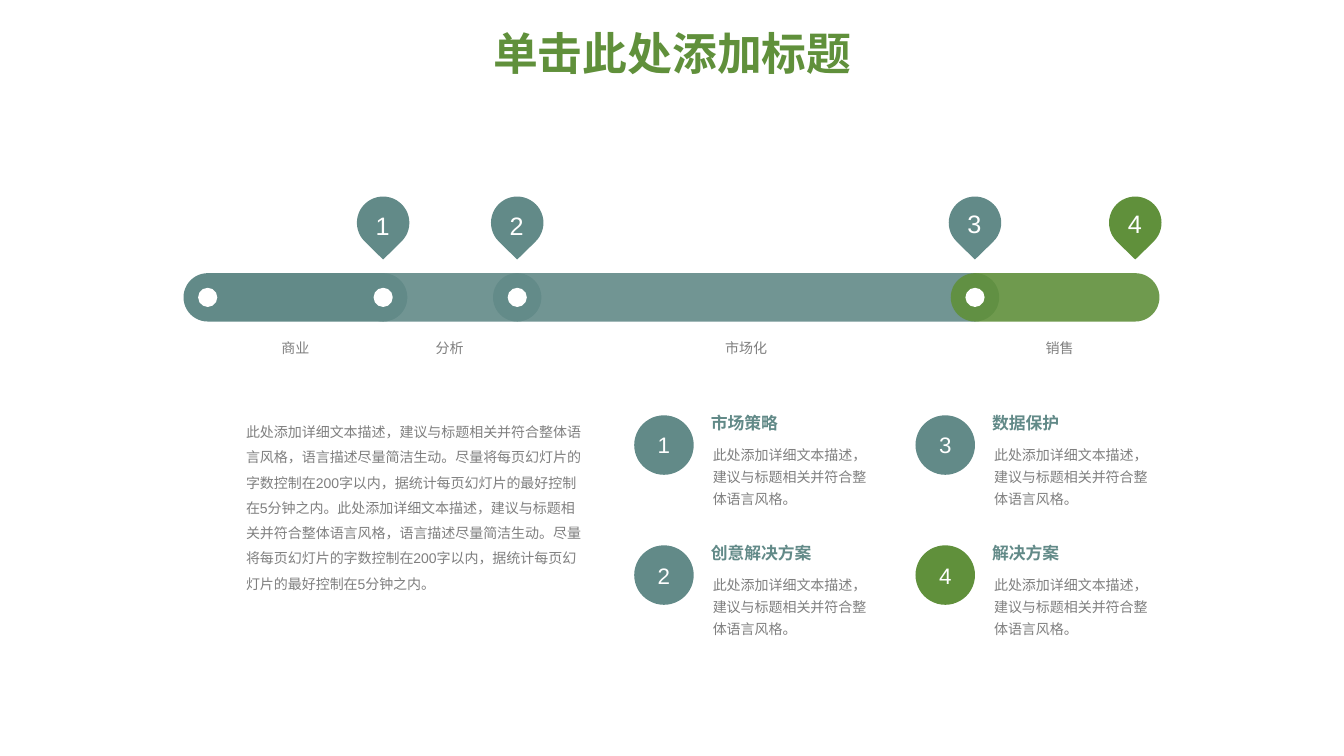
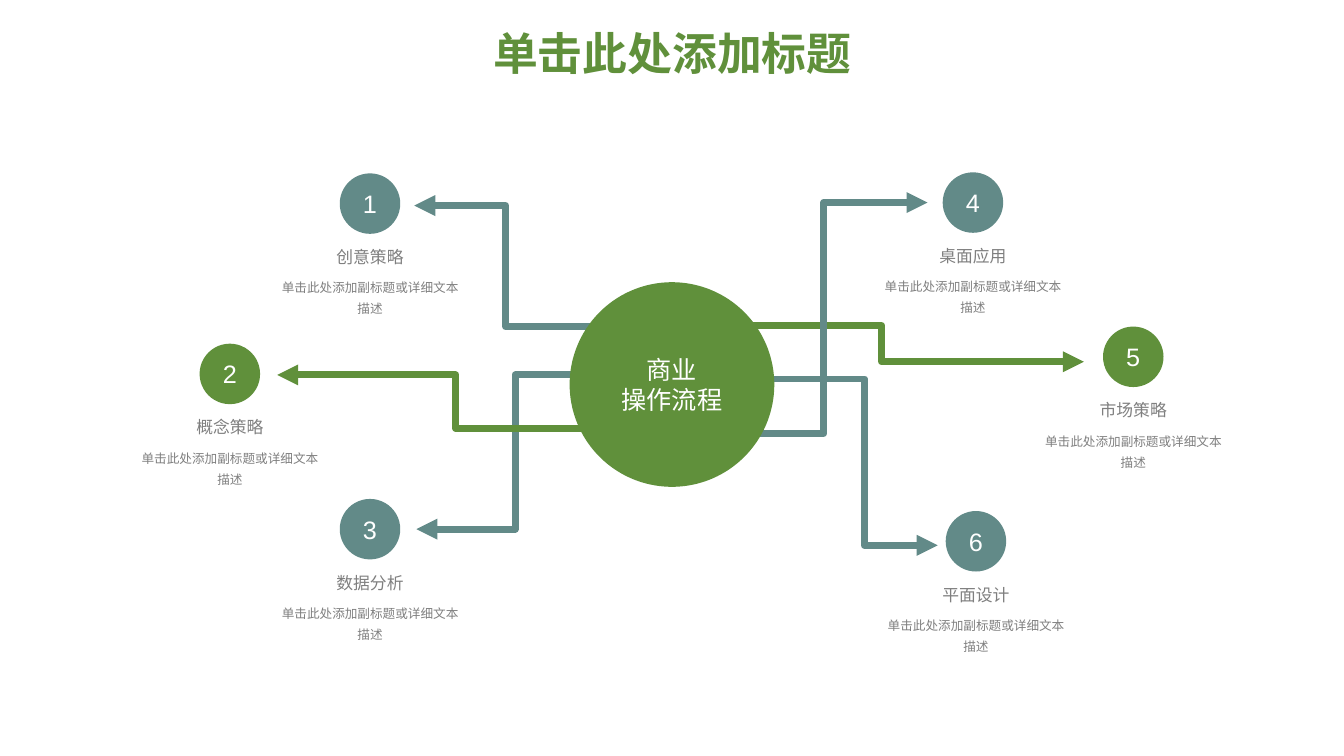
from lxml.etree import SubElement
from pptx import Presentation
from pptx.dml.color import RGBColor
from pptx.enum.shapes import MSO_CONNECTOR, MSO_SHAPE
from pptx.enum.text import MSO_ANCHOR, PP_ALIGN
from pptx.oxml.ns import qn
from pptx.util import Inches, Pt

TEAL = RGBColor(0x62, 0x8A, 0x88)
GREEN = RGBColor(0x60, 0x90, 0x3B)
GRAY = RGBColor(0x7F, 0x7F, 0x7F)
WHITE = RGBColor(0xFF, 0xFF, 0xFF)
FONT = "Arial"

TITLE = "单击此处添加标题"

BAR_TOP, BAR_HEIGHT, DOT, PIN = 2.71, 0.48, 0.19, 0.52
STAGES = [
    ("商业", 1.82, 2.93, TEAL, 100),
    ("分析", 3.56, 4.46, TEAL, 90),
    ("市场化", 4.89, 7.4, TEAL, 90),
    ("销售", 9.43, 10.51, GREEN, 90),
]
BAR_END = 11.5
PINS = [("1", 2.04, TEAL), ("2", 2.04, TEAL), ("3", 2.02, TEAL), ("4", 2.02, GREEN)]
SUMMARY = (
    "此处添加详细文本描述，建议与标题相关并符合整体语言风格，语言描述尽量简洁生动。"
    "尽量将每页幻灯片的字数控制在200字以内，据统计每页幻灯片的最好控制在5分钟之内。"
) * 2
CARD_TEXT = "此处添加详细文本描述，建议与标题相关并符合整体语言风格。"
CARDS = [("市场策略", TEAL), ("创意解决方案", TEAL), ("数据保护", TEAL), ("解决方案", GREEN)]

HUB_LINES = ("商业", "操作流程")
NODE_TEXT = "单击此处添加副标题或详细文本描述"
NODES = [
    ("创意策略", 3.67, 1.72, TEAL),
    ("概念策略", 2.28, 3.41, GREEN),
    ("数据分析", 3.67, 4.95, TEAL),
    ("桌面应用", 9.65, 1.71, TEAL),
    ("市场策略", 11.24, 3.24, GREEN),
    ("平面设计", 9.68, 5.07, TEAL),
]
LINKS = [
    ((6.09, 3.72), (4.13, 5.25), 0.5, TEAL),
    ((6.29, 4.25), (2.75, 3.72), 0.5, GREEN),
    ((5.92, 3.24), (4.11, 2.04), 0.5, TEAL),
    ((7.17, 3.23), (10.75, 3.59), 0.44, GREEN),
    ((7.53, 3.76), (9.3, 5.41), 0.59, TEAL),
    ((7.18, 4.3), (9.2, 2.01), 0.49, TEAL),
]


def write(shape, lines, size, color, align=PP_ALIGN.CENTER, spacing=1.0, bold=False):
    frame = shape.text_frame
    frame.text = "\n".join(lines)
    for paragraph in frame.paragraphs:
        paragraph.alignment = align
        paragraph.line_spacing = spacing
        font = paragraph.font
        font.name, font.size, font.bold = FONT, Pt(size), bold
        font.color.rgb = color


def add_text(slide, box, text, size, color=GRAY, inset=0, wrap=True, anchor=MSO_ANCHOR.TOP, **style):
    shape = slide.shapes.add_textbox(*map(Inches, box))
    frame = shape.text_frame
    frame.word_wrap = wrap
    frame.vertical_anchor = anchor
    frame.margin_left = frame.margin_right = Inches(inset)
    frame.margin_top = frame.margin_bottom = Inches(inset / 2)
    write(shape, [text], size, color, **style)


def add_filled(slide, kind, box, color, opacity=100):
    shape = slide.shapes.add_shape(kind, *map(Inches, box))
    shape.shadow.inherit = False
    shape.fill.solid()
    shape.fill.fore_color.rgb = color
    shape.line.fill.background()
    if opacity < 100:
        fill_color = shape._element.spPr.find(qn("a:solidFill"))[0]
        SubElement(fill_color, qn("a:alpha"), val=str(opacity * 1000))
    return shape


def add_circle(slide, left, top, size, color, lines, font_size):
    circle = add_filled(slide, MSO_SHAPE.OVAL, (left, top, size, size), color)
    circle.text_frame.vertical_anchor = MSO_ANCHOR.MIDDLE
    write(circle, lines, font_size, WHITE)


def add_link(slide, start, end, bend, color):
    link = slide.shapes.add_connector(MSO_CONNECTOR.ELBOW, *map(Inches, start + end))
    link.line.color.rgb = color
    link.line.width = Pt(5)
    properties = link._element.spPr
    guides = properties.find(qn("a:prstGeom")).get_or_add_avLst()
    SubElement(guides, qn("a:gd"), name="adj1", fmla=f"val {round(bend * 100000)}")
    SubElement(properties.find(qn("a:ln")), qn("a:tailEnd"), type="triangle")
    SubElement(properties, qn("a:effectLst"))


def add_slide(presentation):
    slide = presentation.slides.add_slide(presentation.slide_layouts[6])
    add_text(slide, (0.92, 0.26, 11.5, 0.6), TITLE, 32, GREEN, inset=0.1,
             anchor=MSO_ANCHOR.MIDDLE, spacing=0.9, bold=True)
    return slide


def build_timeline(presentation):
    slide = add_slide(presentation)
    starts = [stage[1] for stage in STAGES] + [BAR_END - BAR_HEIGHT]
    dot_gap = (BAR_HEIGHT - DOT) / 2
    for (label, start, label_center, color, opacity), following in zip(STAGES, starts[1:]):
        bar = add_filled(slide, MSO_SHAPE.ROUNDED_RECTANGLE,
                         (start, BAR_TOP, following + BAR_HEIGHT - start, BAR_HEIGHT), color, opacity)
        bar.adjustments[0] = 0.5
        add_filled(slide, MSO_SHAPE.OVAL, (start + dot_gap, BAR_TOP + dot_gap, DOT, DOT), WHITE)
        add_text(slide, (label_center - 0.75, 3.39, 1.5, 0.21), label, 10, spacing=0.9)

    for (number, number_top, color), start in zip(PINS, starts[1:]):
        center = start + BAR_HEIGHT / 2
        pin = add_filled(slide, MSO_SHAPE.TEAR, (center - PIN / 2, 1.95, PIN, PIN), color)
        pin.adjustments[0] = 0.99
        pin.rotation = 135
        add_text(slide, (center - 0.18, number_top, 0.35, 0.4), number, 18, WHITE,
                 inset=0.1, wrap=False)

    add_text(slide, (2.44, 4.12, 3.35, 2.34), SUMMARY, 10, align=PP_ALIGN.LEFT, spacing=1.5)
    for index, (heading, color) in enumerate(CARDS):
        column, row = divmod(index, 2)
        left, top = 6.29 + column * 2.79, 4.12 + row * 1.29
        add_circle(slide, left, top, 0.59, color, [str(index + 1)], 16)
        add_text(slide, (left + 0.78, top + 0.26, 1.54, 0.35), CARD_TEXT, 10,
                 align=PP_ALIGN.LEFT, spacing=1.3)
        add_text(slide, (left + 0.76, top, 1.55, 0.31), heading, 12, TEAL,
                 align=PP_ALIGN.LEFT, spacing=0.9, bold=True)


def build_process(presentation):
    slide = add_slide(presentation)
    for number, (heading, center, top, color) in enumerate(NODES, 1):
        add_text(slide, (center - 0.9, top + 1, 1.8, 0.46), NODE_TEXT, 9, spacing=1.4)
        add_text(slide, (center - 0.9, top + 0.75, 1.8, 0.35), heading, 12, spacing=0.9)
        add_circle(slide, center - 0.3, top, 0.6, color, [str(number)], 18)
    for link in LINKS:
        add_link(slide, *link)
    add_circle(slide, 5.65, 2.8, 2.03, GREEN, HUB_LINES, 18)


def main():
    """Build the timeline and process slides."""
    presentation = Presentation()
    presentation.slide_width, presentation.slide_height = Inches(13.33), Inches(7.5)
    build_timeline(presentation)
    build_process(presentation)
    presentation.save("out.pptx")


if __name__ == "__main__":
    main()
